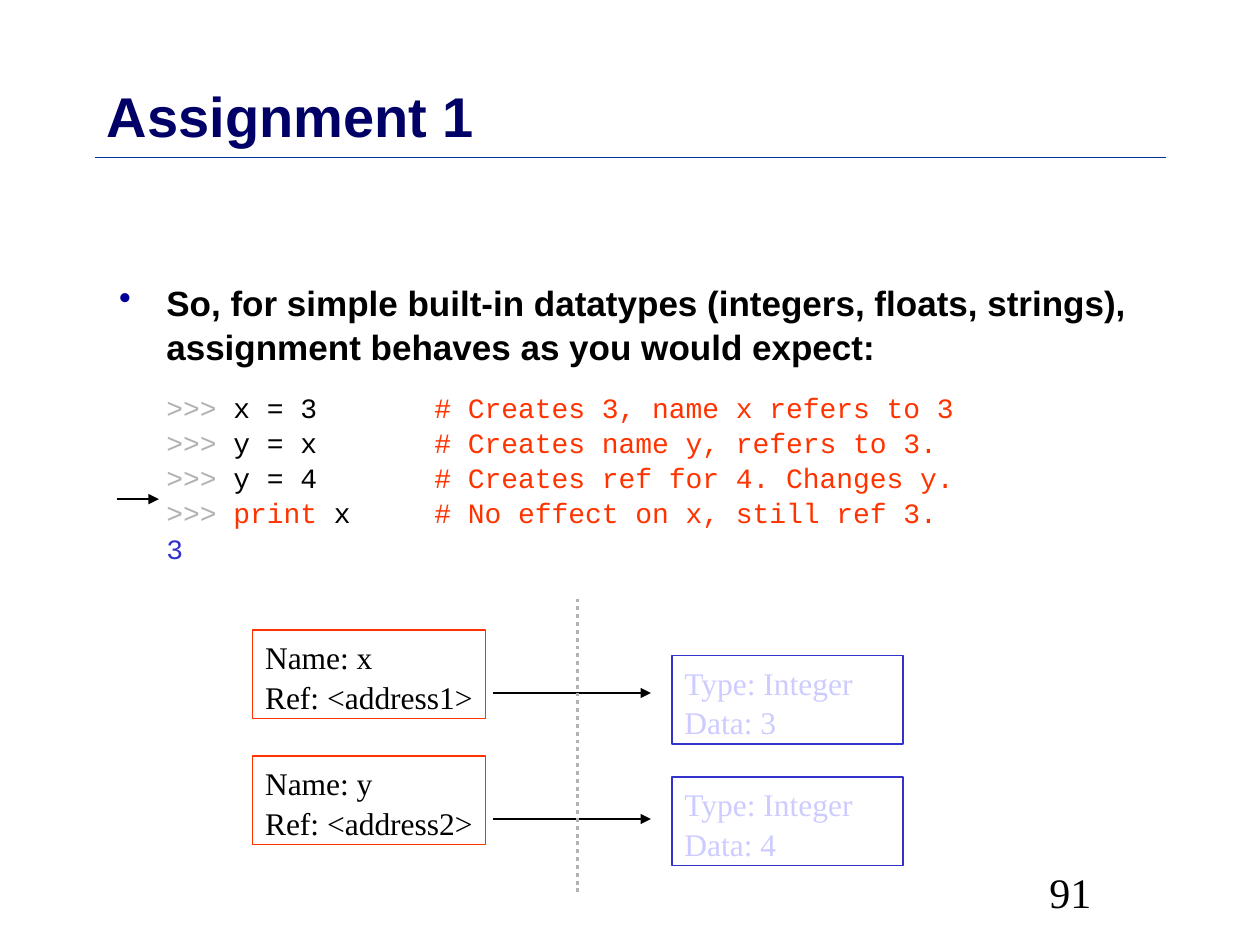
from lxml import etree
from pptx import Presentation
from pptx.dml.color import RGBColor
from pptx.enum.dml import MSO_LINE
from pptx.enum.shapes import MSO_CONNECTOR, MSO_SHAPE
from pptx.enum.text import MSO_ANCHOR, PP_ALIGN
from pptx.oxml.ns import qn
from pptx.util import Pt

RECT = MSO_SHAPE.RECTANGLE
STRAIGHT = MSO_CONNECTOR.STRAIGHT
DOTS = MSO_LINE.ROUND_DOT
TOP, MIDDLE = MSO_ANCHOR.TOP, MSO_ANCHOR.MIDDLE
LEFT, CENTER = PP_ALIGN.LEFT, PP_ALIGN.CENTER

SANS, MONO, SERIF = "Arial", "Courier New", "Times New Roman"
COLORS = {
    "title": "000066", "rule": "003399", "bullet": "000099",
    "black": "000000", "gray": "B2B2B2", "red": "FF3300",
    "blue": "3333CC", "pale": "CCCCFF",
}
SPACING = 1.05
CODE_COLS = 12  # columns between the prompt and the comment

# Each line of code: coloured parts of the statement, then its comment
CODE = [
    ([("x = 3", "black")], "# Creates 3, name x refers to 3"),
    ([("y = x", "black")], "# Creates name y, refers to 3."),
    ([("y = 4", "black")], "# Creates ref for 4. Changes y."),
    ([("print ", "red"), ("x", "black")], "# No effect on x, still ref 3."),
]


def rgb(name):
    return RGBColor.from_string(COLORS[name])


def add_run(para, text, font, size, color, bold=False):
    run = para.add_run()
    run.text = text
    run.font.name = font
    run.font.size = Pt(size)
    run.font.bold = bold
    run.font.color.rgb = rgb(color)


def add_text(slide, x, y, w, h, anchor=TOP):
    box = slide.shapes.add_textbox(Pt(x), Pt(y), Pt(w), Pt(h))
    frame = box.text_frame
    frame.word_wrap = True
    frame.vertical_anchor = anchor
    return frame


def set_indent(para, left, first=0, bullet=None):
    props = para._p.get_or_add_pPr()
    props.set("marL", str(Pt(left)))
    props.set("indent", str(Pt(first)))
    if bullet:
        tint = etree.SubElement(props, qn("a:buClr"))
        etree.SubElement(tint, qn("a:srgbClr"), val=COLORS["bullet"])
        etree.SubElement(props, qn("a:buChar"), char=bullet)


def add_box(slide, x, y, w, lines, edge, ink, wrap=True):
    box = slide.shapes.add_shape(RECT, Pt(x), Pt(y), Pt(w), Pt(50.6))
    box.shadow.inherit = False
    box.fill.background()
    box.line.color.rgb = rgb(edge)
    box.line.width = Pt(0.75)
    frame = box.text_frame
    frame.word_wrap = wrap
    frame.vertical_anchor = TOP
    for i, line in enumerate(lines):
        para = frame.add_paragraph() if i else frame.paragraphs[0]
        para.alignment = LEFT
        para.line_spacing = SPACING
        add_run(para, line, SERIF, 18, ink)


def add_line(slide, x1, y1, x2, y2, color="black", width=0.75,
             arrow=False, dash=None):
    link = slide.shapes.add_connector(
        STRAIGHT, Pt(x1), Pt(y1), Pt(x2), Pt(y2))
    link.line.color.rgb = rgb(color)
    link.line.width = Pt(width)
    if dash:
        link.line.dash_style = dash
    if arrow:
        etree.SubElement(link.line._get_or_add_ln(), qn("a:tailEnd"),
                         type="triangle")
    etree.SubElement(link._element.spPr, qn("a:effectLst"))


def add_code(para):
    for parts, note in CODE:
        add_run(para, ">>> ", MONO, 16, "gray")
        for text, color in parts:
            add_run(para, text, MONO, 16, color)
        used = sum(len(text) for text, _ in parts)
        add_run(para, note.rjust(len(note) + CODE_COLS - used),
                MONO, 16, "red")
        para.add_line_break()
    add_run(para, "3", MONO, 16, "blue")


def main():
    deck = Presentation()
    deck.slide_width, deck.slide_height = Pt(720), Pt(540)
    slide = deck.slides.add_slide(deck.slide_layouts[6])

    # Title and rule
    add_line(slide, 54, 90, 666, 90, "rule", 1)
    title = add_text(slide, 54, 43.2, 612, 45.4, MIDDLE).paragraphs[0]
    add_run(title, "Assignment 1", SANS, 32, "title", True)

    # Page number
    page = add_text(slide, 516.2, 477.4, 149, 64.8, MIDDLE).paragraphs[0]
    page.alignment = CENTER
    set_indent(page, 42)
    add_run(page, "91", SERIF, 24, "black")

    # Statement and code
    body = add_text(slide, 54, 156.2, 612, 347.8)
    point = body.paragraphs[0]
    point.line_spacing = SPACING
    point.space_before = Pt(4)
    set_indent(point, 34, -27, "•")
    add_run(point, "So, for simple built-in datatypes (integers, floats, "
            "strings), assignment behaves as you would expect:",
            SANS, 20, "black", True)
    code = body.add_paragraph()
    code.line_spacing = SPACING
    code.space_before = Pt(12)
    set_indent(code, 34)
    add_code(code)

    # Names on the left refer to objects on the right
    rows = [("x", 1, 3, 360, 374.6), ("y", 2, 4, 432, 444)]
    for name, ref, data, y, top in rows:
        add_box(slide, 384, top, 132, ["Type: Integer", f"Data: {data}"],
                "blue", "pale")
        add_box(slide, 144.4, y, 133, [f"Name: {name}",
                f"Ref: <address{ref}>"], "red", "black", False)
        add_line(slide, 282, y + 36, 372, y + 36, arrow=True)

    # Divider and marker of the current line
    add_line(slide, 330, 342, 330, 510, "gray", 2.25, dash=DOTS)
    add_line(slide, 66.8, 285.2, 90.8, 285.2, arrow=True)

    deck.save("out.pptx")


if __name__ == "__main__":
    main()
